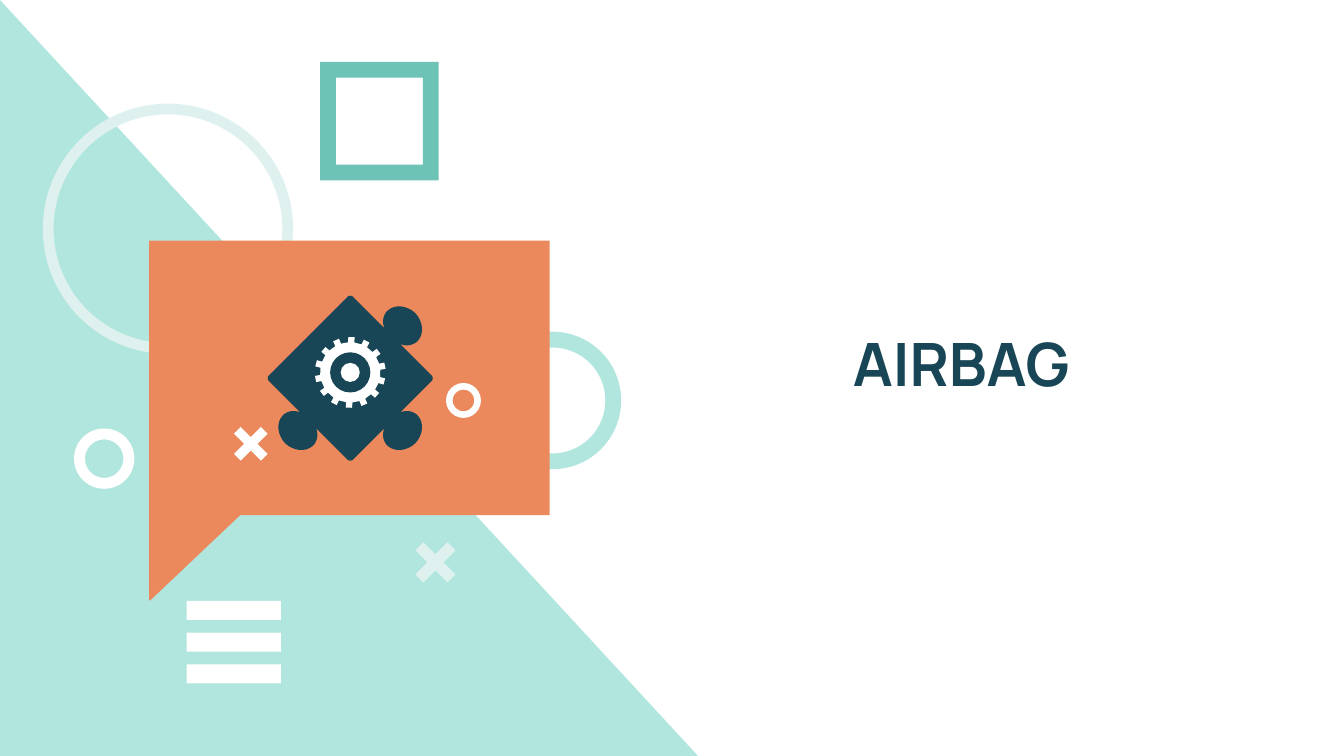
import math

from pptx import Presentation
from pptx import util as u
from pptx.dml.color import RGBColor
from pptx.enum import shapes, text

COLOURS = {
    "mint": "B1E6DE",
    "pale": "DFF1EF",
    "teal": "6CC3B6",
    "orange": "EB895D",
    "navy": "194656",
    "white": "FFFFFF",
}
SHAPE = shapes.MSO_SHAPE


def paint(shape, colour):
    """Give the shape a flat fill without line or shadow."""
    shape.shadow.inherit = False
    shape.fill.solid()
    shape.fill.fore_color.rgb = RGBColor.from_string(COLOURS[colour])
    shape.line.fill.background()


def write(frame, words, *, size, font, colour, bold=False):
    frame.word_wrap = True
    frame.vertical_anchor = text.MSO_ANCHOR.MIDDLE
    frame.margin_left = frame.margin_right = u.Cm(0.25)
    frame.margin_top = frame.margin_bottom = u.Cm(0.25)
    paragraph = frame.paragraphs[0]
    paragraph.alignment = text.PP_ALIGN.CENTER
    run = paragraph.add_run()
    run.text = words
    run.font.size = u.Pt(size)
    run.font.name = font
    run.font.bold = bold
    run.font.color.rgb = RGBColor.from_string(COLOURS[colour])


presentation = Presentation()
presentation.slide_width = u.Cm(25.4)
presentation.slide_height = u.Cm(14.29)
slide = presentation.slides.add_slide(presentation.slide_layouts[6])

# Preset shapes from back to front: kind, left, top, width, height, colour, adjustment
gear_x, gear_y = 6.62, 7.04
presets = [
    (SHAPE.RIGHT_TRIANGLE, 0, 0, 13.23, 14.33, "mint", None),
    (SHAPE.DONUT, 0.81, 1.96, 4.73, 4.73, "pale", 0.043),
    (SHAPE.DONUT, 9.14, 6.27, 2.6, 2.6, "mint", 0.115),
    (SHAPE.RECTANGLE, 2.82, 4.55, 7.57, 5.19, "orange", None),
    (SHAPE.DONUT, 1.4, 8.1, 1.14, 1.14, "white", 0.18),
    (SHAPE.CROSS, 7.8, 10.2, 0.86, 0.86, "pale", 0.375),
    (SHAPE.FRAME, 6.05, 1.17, 2.24, 2.24, "teal", 0.133),
    (SHAPE.DONUT, 8.43, 7.24, 0.66, 0.66, "white", 0.19),
    (SHAPE.CROSS, 4.38, 8.03, 0.72, 0.72, "white", 0.375),
]
for row in range(3):
    presets.append((SHAPE.RECTANGLE, 3.53, 11.36 + 0.6 * row, 1.78, 0.36, "white", None))

for kind, left, top, width, height, colour, adjustment in presets:
    shape = slide.shapes.add_shape(kind, u.Cm(left), u.Cm(top), u.Cm(width), u.Cm(height))
    paint(shape, colour)
    if adjustment is not None:
        shape.adjustments[0] = adjustment
    if kind == SHAPE.CROSS:
        shape.rotation = 45

# Puzzle piece: half a side is a rounded tip and half a knob, mirrored on the diagonal
tip = [(1.56, 0), (1.55, 0.04), (1.53, 0.06)]
knob_curves = [
    [(0.95, 0.64), (1, 0.63), (1.03, 0.62), (1.07, 0.62)],
    [(1.07, 0.62), (1.14, 0.62), (1.23, 0.65), (1.28, 0.71)],
    [(1.28, 0.71), (1.4, 0.84), (1.38, 1.07), (1.23, 1.23)],
]
knob = []
for curve in knob_curves:
    for step in range(9):
        t = step / 8
        weights = [(1 - t) ** 3, 3 * t * (1 - t) ** 2, 3 * t ** 2 * (1 - t), t ** 3]
        knob.append(tuple(sum(w * point[axis] for w, point in zip(weights, curve))
                          for axis in (0, 1)))

puzzle = []
for sign_x, sign_y in [(1, 1), (-1, 1), (-1, -1), (1, -1)]:
    half = tip if (sign_x, sign_y) == (-1, -1) else tip + knob
    side = half + [(y, x) for x, y in reversed(half)]
    if sign_x * sign_y < 0:
        side.reverse()
    puzzle += [(6.62 + sign_x * x, 7.15 + sign_y * y) for x, y in side]

# Gear: each tooth is a root, a tip and a root again
teeth = 14
gear = []
for tooth in range(teeth):
    for offset, radius in [(-0.23, 0.57), (-0.2, 0.67), (0.2, 0.67), (0.23, 0.57)]:
        angle = math.tau * (tooth + offset) / teeth - math.radians(88)
        gear.append((gear_x + radius * math.cos(angle), gear_y + radius * math.sin(angle)))

bubble_tail = [(4.95, 9.35), (2.84, 11.35), (2.82, 11.35), (2.82, 9.35)]
for outline, colour in [(bubble_tail, "orange"), (puzzle, "navy"), (gear, "white")]:
    points = [(u.Cm(x), u.Cm(y)) for x, y in outline]
    builder = slide.shapes.build_freeform(*points[0])
    builder.add_line_segments(points[1:], close=True)
    paint(builder.convert_to_shape(), colour)

for radius, colour in [(0.38, "navy"), (0.18, "white")]:
    hub = slide.shapes.add_shape(SHAPE.OVAL, u.Cm(gear_x - radius), u.Cm(gear_y - radius),
                                 u.Cm(2 * radius), u.Cm(2 * radius))
    paint(hub, colour)

title = slide.shapes.add_textbox(u.Cm(13.21), u.Cm(6.12), u.Cm(9.91), u.Cm(1.47))
write(title.text_frame, "AIRBAG", size=32, font="Manrope", colour="navy", bold=True)

presentation.save("out.pptx")
